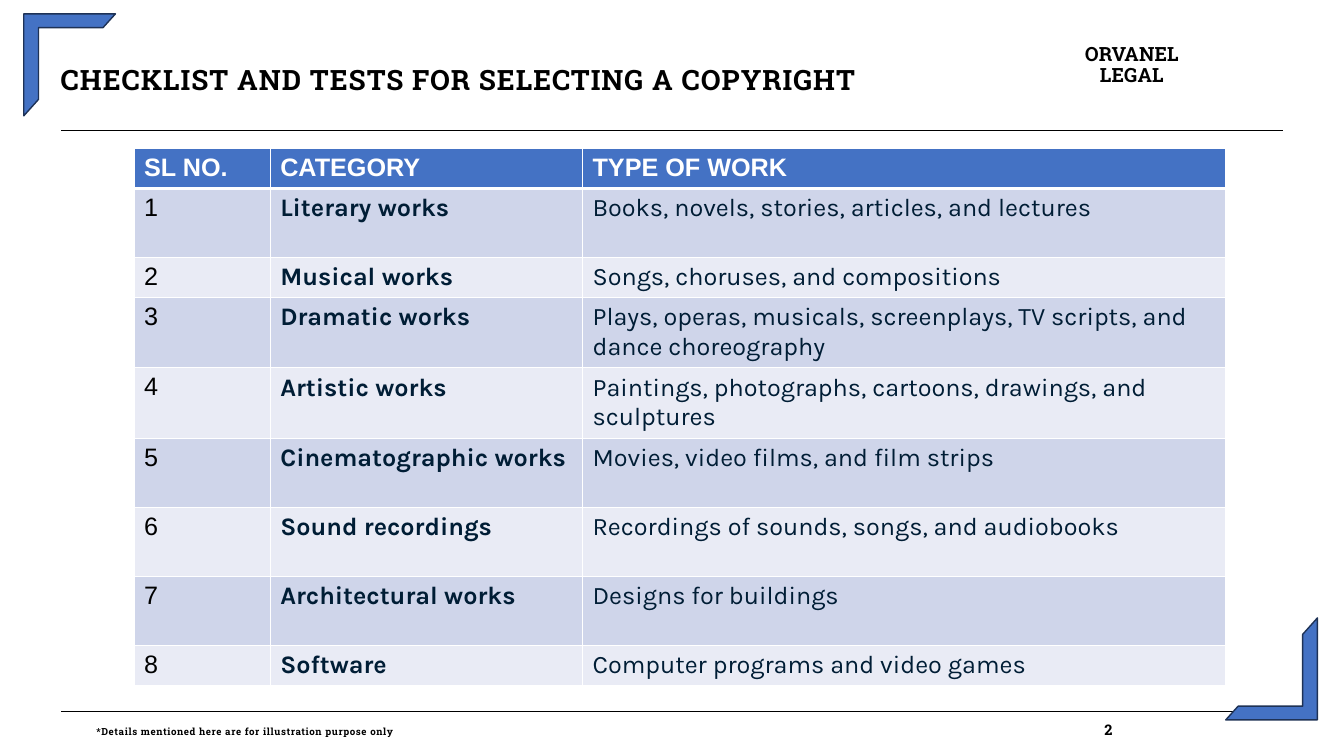
from lxml import etree
from pptx import Presentation
from pptx import util as u
from pptx.dml import color
from pptx.enum import shapes, text
from pptx.oxml import ns

# Colours and fonts
BLUE, DARK_BLUE, NAVY = "4472C4", "1E3256", "001D35"
BLACK, WHITE = "000000", "FFFFFF"
BAND_COLOURS = ("CFD5EA", "E9EBF5")
SLAB, SANS, KARLA = "Roboto Slab", "Arial", "Karla"

# Table columns: heading, width in cm, format of the body text
COLUMNS = (
    ("SL NO.", 3.43, {"name": SANS, "bold": False, "ink": BLACK}),
    ("CATEGORY", 7.87, {"name": KARLA, "bold": True, "ink": NAVY}),
    ("TYPE OF WORK", 16.2, {"name": KARLA, "bold": False, "ink": NAVY}),
)
HEADING_FORMAT = {"name": SANS, "bold": True, "ink": WHITE}
TABLE_TEXT_SIZE = 18
THIN_BORDER, HEADER_BORDER = 1, 3

# Row heights in cm
SINGLE, SPACED, DOUBLE = 1.01, 1.74, 1.77

# Table rows: category, type of work, height
WORKS = (
    ("Literary works", "Books, novels, stories, articles, and lectures", SPACED),
    ("Musical works", "Songs, choruses, and compositions", SINGLE),
    ("Dramatic works", "Plays, operas, musicals, screenplays, TV scripts, and dance choreography", DOUBLE),
    ("Artistic works", "Paintings, photographs, cartoons, drawings, and sculptures", DOUBLE),
    ("Cinematographic works", "Movies, video films, and film strips", SPACED),
    ("Sound recordings", "Recordings of sounds, songs, and audiobooks", SPACED),
    ("Architectural works", "Designs for buildings", SPACED),
    ("Software", "Computer programs and video games", SINGLE),
)


def rgb(value):
    return color.RGBColor.from_string(value)


def lengths(box):
    return [u.Cm(value) for value in box]


def set_attributes(target, values):
    for key, value in values.items():
        setattr(target, key, value)


def add_element(parent, tag, **attributes):
    return etree.SubElement(parent, ns.qn(tag), attributes)


def set_fill(target, value):
    target.fill.solid()
    target.fill.fore_color.rgb = rgb(value)


def set_line(shape, value, width):
    shape.line.color.rgb = rgb(value)
    shape.line.width = u.Pt(width)


def format_run(run, size, name=SLAB, bold=True, ink=BLACK, spacing=0):
    set_attributes(run.font, {"size": u.Pt(size), "name": name, "bold": bold})
    run.font.color.rgb = rgb(ink)
    if spacing:
        run._r.get_or_add_rPr().set("spc", str(round(spacing * 100)))


def add_run(paragraph, words, size, **run_format):
    run = paragraph.add_run()
    run.text = words
    format_run(run, size, **run_format)


def prepare_paragraph(shape, line_spacing, alignment=text.PP_ALIGN.LEFT):
    """Remove the insets of a shape and return its first paragraph."""
    frame = shape.text_frame
    set_attributes(frame, {
        "word_wrap": True,
        "auto_size": text.MSO_AUTO_SIZE.NONE,
        "vertical_anchor": text.MSO_ANCHOR.TOP,
        "margin_left": 0, "margin_right": 0, "margin_top": 0, "margin_bottom": 0,
    })
    paragraph = frame.paragraphs[0]
    set_attributes(paragraph, {"line_spacing": line_spacing, "alignment": alignment})
    return paragraph


# Header region
def add_title(slide, box):
    title = slide.shapes.title
    set_attributes(title, dict(zip(("left", "top", "width", "height"), lengths(box))))
    paragraph = prepare_paragraph(title, 0.82)
    add_run(paragraph, "CHECKLIST AND TESTS FOR SELECTING A COPYRIGHT", 20, spacing=0.7)


def add_firm_name(slide, box):
    label = slide.shapes.add_textbox(*lengths(box))
    paragraph = prepare_paragraph(label, 0.89, text.PP_ALIGN.CENTER)
    paragraph.text = "ORVANEL\vLEGAL"
    for run in paragraph.runs:
        format_run(run, 14, spacing=0.1)


# Decoration
def add_rule(slide, left, top, width):
    ends = lengths((left, top, left + width, top))
    rule = slide.shapes.add_connector(shapes.MSO_CONNECTOR.STRAIGHT, *ends)
    set_line(rule, BLACK, 0.48)
    add_element(rule._element.spPr, "a:effectLst")


def add_corner(slide, box, rotation):
    corner = slide.shapes.add_shape(shapes.MSO_SHAPE.HALF_FRAME, *lengths(box))
    corner.shadow.inherit = False
    corner.rotation = rotation
    for index, adjustment in enumerate((0.15, 0.161)):
        corner.adjustments[index] = adjustment
    set_fill(corner, BLUE)
    set_line(corner, DARK_BLUE, 1)


# Footer region: note, then the page number at a tab stop
def add_footer(slide, box, number_offset):
    footer = slide.shapes.add_textbox(*lengths(box))
    paragraph = prepare_paragraph(footer, 0.84)
    tabs = add_element(paragraph._p.get_or_add_pPr(), "a:tabLst")
    add_element(tabs, "a:tab", pos=str(u.Cm(number_offset)), algn="l")
    note = "*Details mentioned here are for illustration purpose only\t"
    for words, size in ((note, 7), ("2", 10.5)):
        add_run(paragraph, words, size, spacing=0.44)


# Table region
def write_cell(cell, words, background, text_format, top_border, bottom_border):
    # Borders come before the fill in the cell properties
    properties = cell._tc.get_or_add_tcPr()
    borders = {"L": THIN_BORDER, "R": THIN_BORDER, "T": top_border, "B": bottom_border}
    for side, width in borders.items():
        border = add_element(properties, f"a:ln{side}", w=str(u.Pt(width)))
        add_element(add_element(border, "a:solidFill"), "a:srgbClr", val=WHITE)
    set_fill(cell, background)
    add_run(cell.text_frame.paragraphs[0], words, TABLE_TEXT_SIZE, **text_format)


def add_works_table(slide, left, top):
    headings, widths, body_formats = zip(*COLUMNS)
    heights = [SINGLE] + [height for _, _, height in WORKS]
    box = lengths((left, top, sum(widths), sum(heights)))
    table = slide.shapes.add_table(len(heights), len(widths), *box).table
    for column, width in zip(table.columns, widths):
        column.width = u.Cm(width)
    for row, height in zip(table.rows, heights):
        row.height = u.Cm(height)

    # Header row
    for cell, heading in zip(table.rows[0].cells, headings):
        write_cell(cell, heading, BLUE, HEADING_FORMAT, THIN_BORDER, HEADER_BORDER)

    # Numbered rows in alternating bands
    for number, (category, work, _) in enumerate(WORKS, start=1):
        background = BAND_COLOURS[(number - 1) % len(BAND_COLOURS)]
        top_border = HEADER_BORDER if number == 1 else THIN_BORDER
        entries = (str(number), category, work)
        for cell, words, body_format in zip(table.rows[number].cells, entries, body_formats):
            write_cell(cell, words, background, body_format, top_border, THIN_BORDER)


def build_checklist_slide(presentation):
    title_only = presentation.slide_layouts[5]
    slide = presentation.slides.add_slide(title_only)
    add_title(slide, (1.53, 1.73, 22.9, 0.9))
    for top in (3.29, 17.93):
        add_rule(slide, 1.54, top, 30.79)
    for left, top, rotation in ((0.6, 0.35, 0), (30.89, 15.57, 180)):
        add_corner(slide, (left, top, 2.31, 2.57), rotation)
    add_footer(slide, (2.43, 18.24, 30.28, 0.56), number_offset=25.4)
    add_works_table(slide, 3.38, 3.74)
    add_firm_name(slide, (27, 1.14, 3.05, 1.09))


def main():
    presentation = Presentation()
    presentation.slide_width = u.Cm(33.87)
    presentation.slide_height = u.Cm(19.05)
    build_checklist_slide(presentation)
    presentation.save("out.pptx")


if __name__ == "__main__":
    main()
